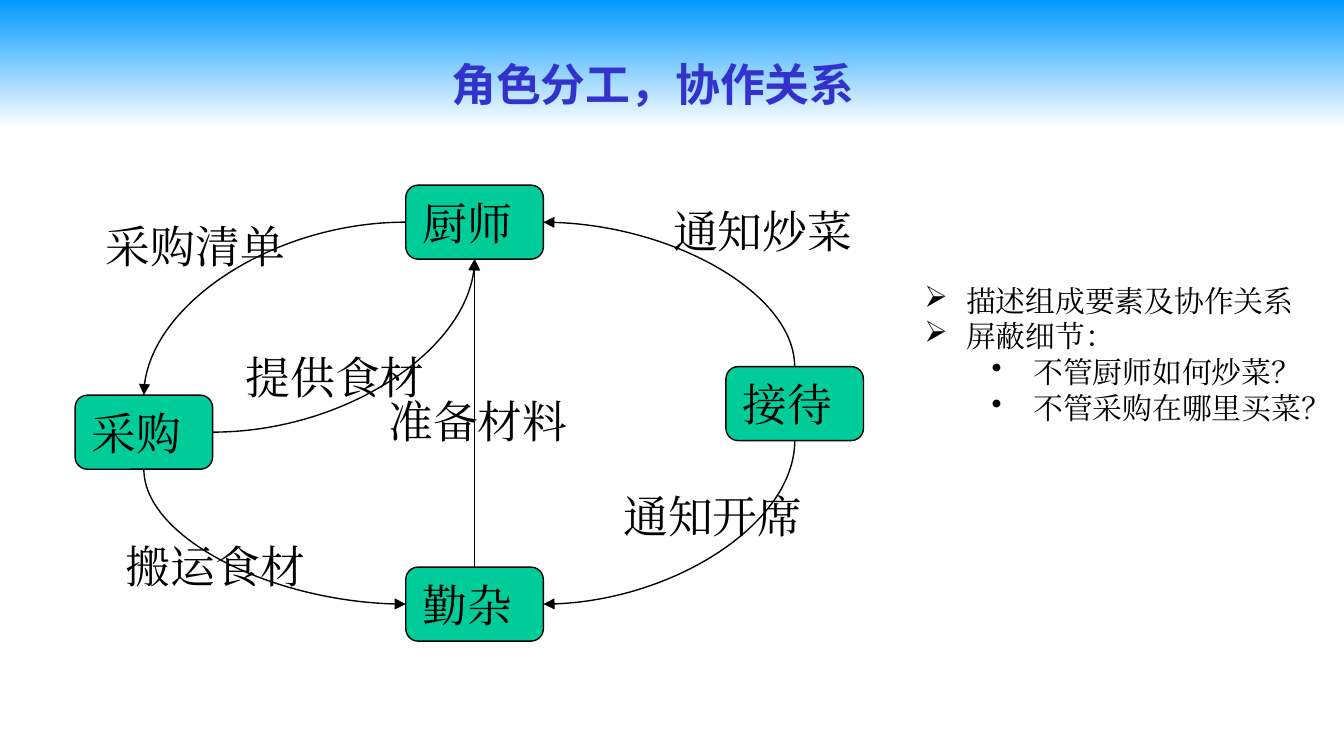
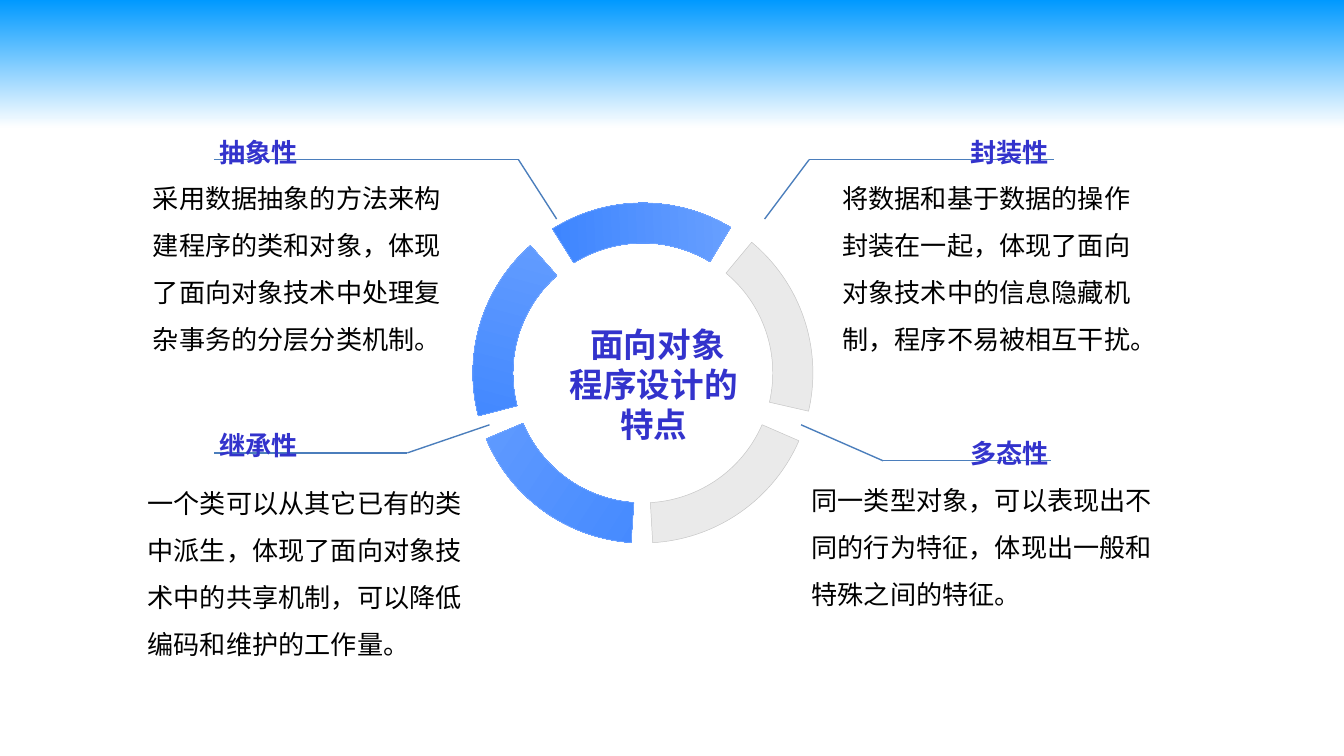
from lxml import etree
from pptx import Presentation
from pptx import util as u
from pptx.dml import color
from pptx.enum import shapes, text
from pptx.oxml import ns

SANS = "Noto Sans CJK SC"
SERIF = "Times New Roman"
BLACK, ACCENT, LEADER = "000000", "3333CC", "4B7EBC"
TOP, LEFT, BOTTOM, RIGHT = range(4)

LABEL = {"name": SERIF, "size": u.Pt(24)}
LIST = {"name": SERIF, "size": u.Pt(16)}
TITLE = {"name": SANS, "size": u.Pt(24), "bold": True}
BODY = {"name": SANS, "size": u.Pt(14)}
HEADING = {"name": SANS, "size": u.Pt(14), "bold": True}
HUB = {"name": SANS, "size": u.Pt(18), "bold": True}


def rgb(value):
    return color.RGBColor.from_string(value)


def add_child(parent, tag, **values):
    child = etree.SubElement(parent, ns.qn(tag))
    for key, value in values.items():
        child.set(key, str(value))
    return child


def set_gradient(fill, stops):
    fill.gradient()
    fill.gradient_angle = 270
    for stop, (position, value) in zip(fill.gradient_stops, stops):
        stop.position = position
        stop.color.rgb = rgb(value)


def set_line(line, value, width):
    line.color.rgb = rgb(value)
    line.width = u.Pt(width)


def write(para, words, style, ink=BLACK, **layout):
    for key, value in layout.items():
        setattr(para, key, value)
    span = para.add_run()
    span.text = words
    for key, value in style.items():
        setattr(span.font, key, value)
    span.font.color.rgb = rgb(ink)
    add_child(span.font._element, "a:ea", typeface=style["name"])


def add_text(page, place, words, style, ink=BLACK, wrap=False, **layout):
    box = page.shapes.add_textbox(*map(u.Cm, place))
    box.text_frame.word_wrap = wrap
    box.text_frame.auto_size = text.MSO_AUTO_SIZE.SHAPE_TO_FIT_TEXT
    if words:
        write(box.text_frame.paragraphs[0], words, style, ink, **layout)
    return box


def add_list(page, place, items):
    frame = add_text(page, place, "", LIST).text_frame
    for index, (level, mark, words) in enumerate(items):
        para = frame.add_paragraph() if index else frame.paragraphs[0]
        para.level = level
        props = para._p.get_or_add_pPr()
        props.set("marL", str(u.Cm(0.79 + 1.27 * level)))
        props.set("indent", str(-u.Cm(0.79)))
        add_child(props, "a:buChar", char=mark)
        write(para, words, LIST)


def add_role(page, left, top, words):
    box = page.shapes.add_shape(
        shapes.MSO_SHAPE.ROUNDED_RECTANGLE, *map(u.Cm, (left, top, 2.6, 1.4)))
    box.shadow.inherit = False
    box.fill.solid()
    box.fill.fore_color.rgb = rgb("00CC99")
    set_line(box.line, BLACK, 0.75)
    frame = box.text_frame
    frame.word_wrap = False
    frame.vertical_anchor = text.MSO_ANCHOR.MIDDLE
    write(frame.paragraphs[0], words, LABEL, alignment=text.PP_ALIGN.LEFT)
    return box


def add_line(page, kind, ends, value):
    line = page.shapes.add_connector(kind, *map(u.Cm, ends))
    set_line(line.line, value, 0.75)
    add_child(line._element.spPr, "a:effectLst")
    return line


def add_flow(page, source, source_site, target, target_site):
    flow = add_line(page, shapes.MSO_CONNECTOR.CURVE, (0, 0, 0, 0), BLACK)
    flow.begin_connect(source, source_site)
    flow.end_connect(target, target_site)
    add_child(flow.line._get_or_add_ln(), "a:tailEnd", type="triangle")
    props = flow._element.spPr
    if source_site % 2 != target_site % 2:
        props.find(ns.qn("a:prstGeom")).set("prst", "curvedConnector2")
    if source_site in (TOP, BOTTOM):
        across = flow.end_x - flow.begin_x
        down = flow.end_y - flow.begin_y
        middle_x = (flow.begin_x + flow.end_x) // 2
        middle_y = (flow.begin_y + flow.end_y) // 2
        flow.width, flow.height = abs(down), abs(across)
        flow.left = middle_x - flow.width // 2
        flow.top = middle_y - flow.height // 2
        frame = props.find(ns.qn("a:xfrm"))
        frame.set("rot", str(90 * 60000))
        frame.set("flipH", str(int(down < 0)))
        frame.set("flipV", str(int(across > 0)))


def add_leader(page, points):
    for start, end in zip(points, points[1:]):
        add_line(page, shapes.MSO_CONNECTOR.STRAIGHT, start + end, LEADER)


def add_arc(page, turn, active):
    size, middle_x, middle_y = 6.43, 12.15, 7.05
    place = (middle_x - size / 2, middle_y - size / 2, size, size)
    arc = page.shapes.add_shape(shapes.MSO_SHAPE.BLOCK_ARC, *map(u.Cm, place))
    arc.shadow.inherit = False
    arc.rotation = turn
    degree = 0.6
    for index, value in enumerate((330.4 * degree, 33.6 * degree, 0.118)):
        arc.adjustments[index] = value
    if active:
        set_gradient(arc.fill, [(0, "2676FF"), (1, "7DADFF")])
    else:
        arc.fill.solid()
        arc.fill.fore_color.rgb = rgb("EAEAEA")
    set_line(arc.line, "7DADFF" if active else "C5C5C5", 0.25)


def build_roles(page):
    buyer = add_role(page, 1.42, 7.47, "采购")
    cook = add_role(page, 7.67, 3.5, "厨师")
    helper = add_role(page, 7.67, 10.72, "勤杂")
    host = add_role(page, 13.72, 6.93, "接待")
    flows = [
        (host, TOP, cook, RIGHT, "通知炒菜", 12.47, 3.73),
        (cook, LEFT, buyer, TOP, "采购清单", 1.75, 4.01),
        (buyer, RIGHT, cook, BOTTOM, "提供食材", 4.39, 6.48),
        (helper, TOP, cook, BOTTOM, "准备材料", 7.09, 7.32),
        (host, BOTTOM, helper, RIGHT, "通知开席", 11.53, 9.12),
        (buyer, BOTTOM, helper, LEFT, "搬运食材", 2.13, 10.06),
    ]
    for source, source_site, target, target_site, words, left, top in flows:
        add_flow(page, source, source_site, target, target_site)
        add_text(page, (left, top, 3.94, 1.27), words, LABEL)
    add_text(page, (8.28, 0.94, 8.2, 1.27), "角色分工，协作关系", TITLE, ACCENT)
    add_list(page, (17.22, 5.21, 8.31, 3), [
        (0, "➢", "描述组成要素及协作关系"),
        (0, "➢", "屏蔽细节："),
        (1, "•", "不管厨师如何炒菜？"),
        (1, "•", "不管采购在哪里买菜？"),
    ])


def build_features(page):
    for points in (
        [(4.04, 3.02), (9.8, 3.02), (10.52, 4.14)],
        [(14.45, 4.14), (15.29, 3.02), (19.91, 3.02)],
        [(15.14, 8.03), (16.69, 8.71), (19.86, 8.71)],
        [(9.25, 8.03), (7.7, 8.56), (4.04, 8.56)],
    ):
        add_leader(page, points)
    for turn, active in ((53.1, False), (123.6, True), (195, True),
                         (267.5, True), (339.4, False)):
        add_arc(page, turn, active)
    near, far = text.PP_ALIGN.LEFT, text.PP_ALIGN.RIGHT
    features = [
        ("抽象性", 3.89, 2.34, near, (2.64, 3.02, 6.17, 3.73),
         "采用数据抽象的方法来构建程序的类和对象，体现了面向对象技术中处理复杂事务的分层分类机制。"),
        ("封装性", 16.69, 2.34, far, (15.67, 3.02, 6.22, 3.73),
         "将数据和基于数据的操作封装在一起，体现了面向对象技术中的信息隐藏机制，程序不易被相互干扰。"),
        ("多态性", 16.69, 8.03, far, (15.09, 8.74, 7.16, 2.84),
         "同一类型对象，可以表现出不同的行为特征，体现出一般和特殊之间的特征。"),
        ("继承性", 3.89, 7.87, near, (2.54, 8.79, 6.68, 3.84),
         "一个类可以从其它已有的类中派生，体现了面向对象技术中的共享机制，可以降低编码和维护的工作量。"),
    ]
    for heading, left, top, side, place, words in features:
        add_text(page, place, words, BODY, wrap=True, line_spacing=1.5)
        add_text(page, (left, top, 3.38, 0.91), heading, HEADING, ACCENT,
                 wrap=True, alignment=side, line_spacing=1.2)
    add_text(page, (10.49, 5.99, 3.73, 2.57), " 面向对象程序设计的特点", HUB, ACCENT,
             wrap=True, alignment=text.PP_ALIGN.CENTER)


def main():
    deck = Presentation()
    deck.slide_width, deck.slide_height = u.Cm(25.4), u.Cm(14.29)
    set_gradient(deck.slide_master.background.fill,
                 [(0, "0099FF"), (0.17, "FFFFFF")])
    for build in (build_roles, build_features):
        build(deck.slides.add_slide(deck.slide_layouts[6]))
    deck.save("out.pptx")


if __name__ == "__main__":
    main()
